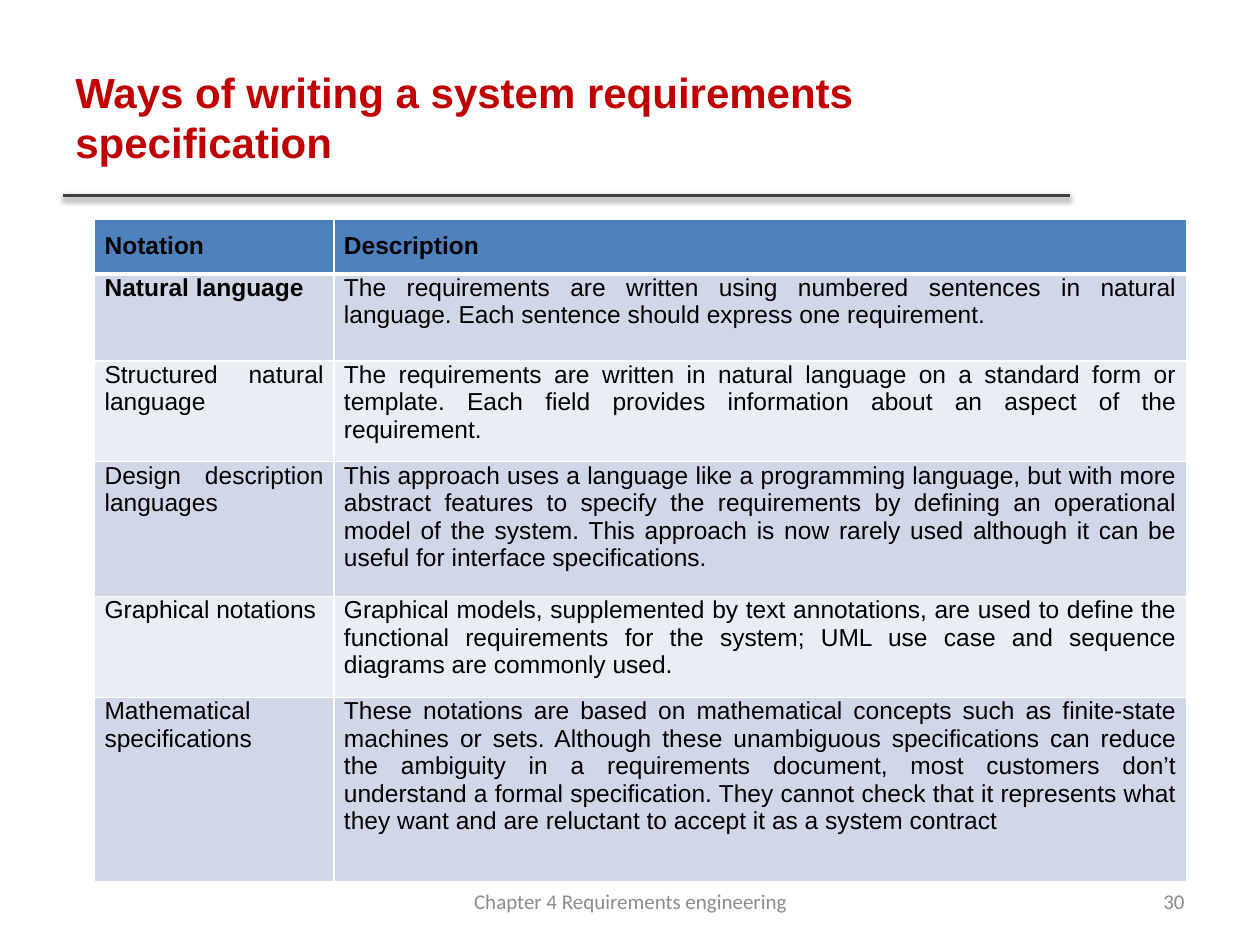
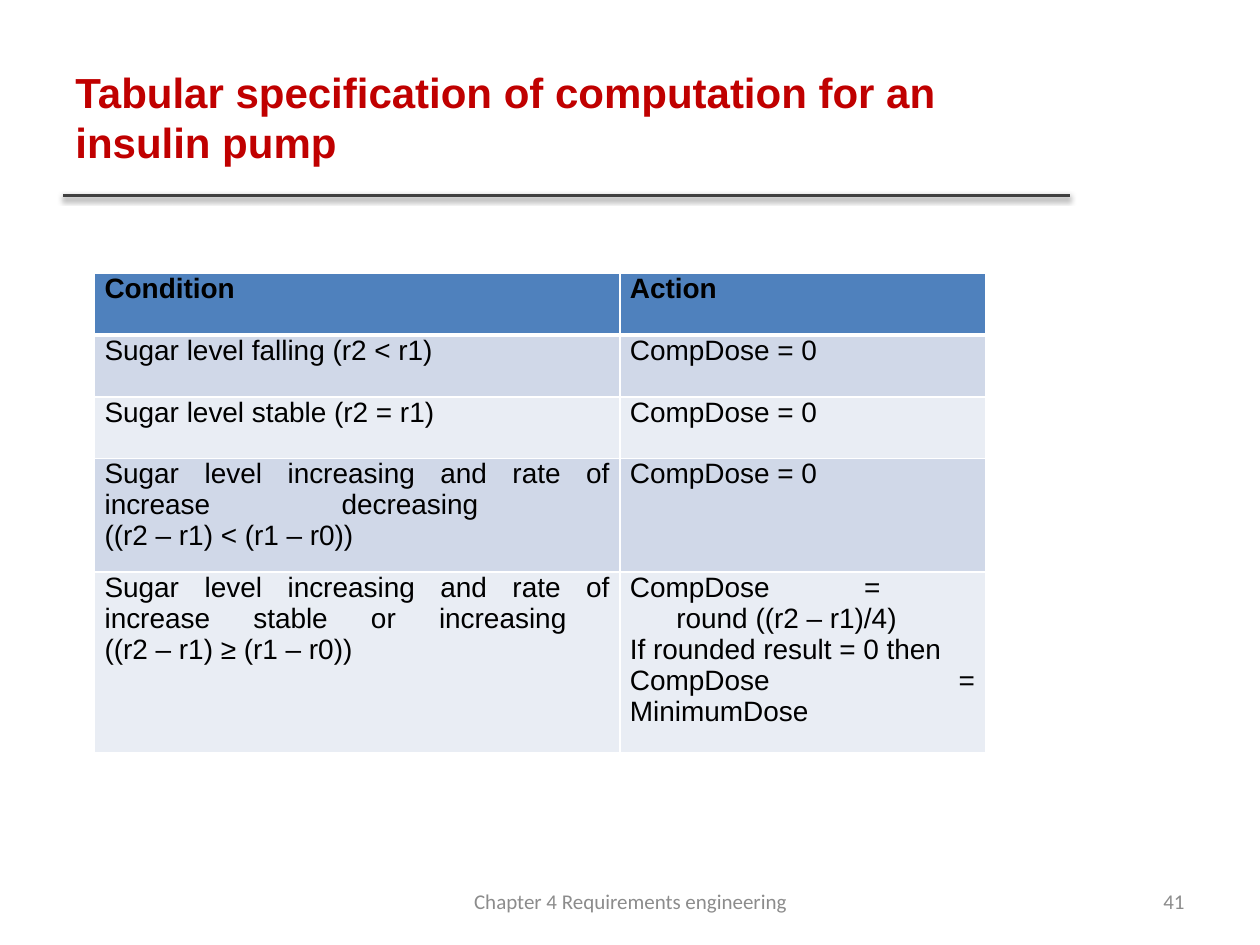
from lxml import etree
from pptx import Presentation, util as u
from pptx.dml.color import RGBColor
from pptx.enum import shapes, text
from pptx.oxml import parse_xml
from pptx.oxml.ns import nsdecls, qn

COLORS = {"title": "C00000", "rule": "404040", "footer": "8C8C8C", "text": "000000",
          "header": "4F81BD", "odd": "D0D8E8", "even": "E9EDF4", "border": "FFFFFF"}
ALIGN = text.PP_ALIGN
FOOTER = "Chapter 4 Requirements engineering"

# The slide is a grid of 100 columns and 75 rows of square units.
WIDTH, HEIGHT = u.Inches(10), u.Inches(7.5)
UNIT = WIDTH // 100
TITLE_BOX = (5, 3, 79.8, 12.5)
NUMBER_BOX = (71.7, 69.5, 23.3, 4)
FOOTER_BOX = (34.2, 69.5, 31.7, 4)
RULE_ENDS = (5, 15.5, 84.9, 15.5)
TABLE_LEFT = 7.5

TITLE_FORMAT = {"name": "Arial", "size": u.Pt(24), "bold": True}
FOOTER_FORMAT = {"name": "Calibri", "size": u.Pt(12), "bold": False}

# In cell text, \v breaks a line and \n starts a paragraph.
SLIDES = [
    {
        "title": "Ways of writing a system requirements specification",
        "number": "30",
        "top": 17.4,
        "columns": (19, 67.7),
        "rows": (4, 6.9, 7.6, 10.7, 7.6, 14.6),
        "size": 14,
        "header_inset": 1,
        "bold_cells": [(1, 0)],
        "cells": [
            ("Notation", "Description"),
            ("Natural language",
             "The requirements are written using numbered sentences in natural language. "
             "Each sentence should express one requirement."),
            ("Structured natural language ",
             "The requirements are written in natural language on a standard form or template. "
             "Each field provides information about an aspect of the requirement."),
            ("Design description languages",
             "This approach uses a language like a programming language, but with more abstract "
             "features to specify the requirements by defining an operational model of the system. "
             "This approach is now rarely used although it can be useful for interface "
             "specifications."),
            ("Graphical notations",
             "Graphical models, supplemented by text annotations, are used to define the "
             "functional requirements for the system; UML use case and sequence diagrams are "
             "commonly used."),
            ("Mathematical specifications",
             "These notations are based on mathematical concepts such as finite-state machines "
             "or sets. Although these unambiguous specifications can reduce the ambiguity in a "
             "requirements document, most customers don’t understand a formal specification. "
             "They cannot check that it represents what they want and are reluctant to accept "
             "it as a system contract"),
        ],
    },
    {
        "title": "Tabular specification of computation for an insulin pump",
        "number": "41",
        "top": 21.7,
        "columns": (41.7, 29),
        "rows": (4.9, 4.9, 4.9, 8.4, 13.3),
        "size": 16,
        "header_inset": 0,
        "bold_cells": [],
        "cells": [
            ("Condition", "Action"),
            ("Sugar level falling (r2 < r1)", "CompDose = 0"),
            ("Sugar level stable (r2 = r1)", "CompDose = 0"),
            ("Sugar level increasing and rate of increase decreasing \v((r2 – r1) < (r1 – r0))",
             "CompDose = 0"),
            ("Sugar level increasing and rate of increase stable or increasing \v"
             "((r2 – r1) ≥ (r1 – r0))",
             "CompDose = \v      round ((r2 – r1)/4)\n"
             "If rounded result = 0 then \nCompDose = MinimumDose"),
        ],
    },
]


def write(frame, words, formats, color, alignment):
    frame.text = words
    frame.word_wrap = True
    for paragraph in frame.paragraphs:
        paragraph.alignment = alignment
        for name, value in formats.items():
            setattr(paragraph.font, name, value)
        paragraph.font.color.rgb = RGBColor.from_string(COLORS[color])
        for run in paragraph.runs:
            for name, value in formats.items():
                setattr(run.font, name, value)
            run.font.color.rgb = RGBColor.from_string(COLORS[color])


def add_label(slide, box, words, formats, color, alignment):
    """Add a text box, placed in grid units and anchored in the middle."""
    label = slide.shapes.add_textbox(*(round(value * UNIT) for value in box))
    label.text_frame.vertical_anchor = text.MSO_ANCHOR.MIDDLE
    write(label.text_frame, words, formats, color, alignment)


presentation = Presentation()
presentation.slide_width, presentation.slide_height = WIDTH, HEIGHT

for content in SLIDES:
    slide = presentation.slides.add_slide(presentation.slide_layouts[6])

    rule = slide.shapes.add_connector(shapes.MSO_CONNECTOR.STRAIGHT,
                                      *(round(value * UNIT) for value in RULE_ENDS))
    rule.line.width = u.Pt(2)
    rule.line.color.rgb = RGBColor.from_string(COLORS["rule"])
    rule.element.spPr.append(parse_xml(
        f'<a:effectLst {nsdecls("a")}><a:outerShdw blurRad="{u.Pt(3.1)}" dist="{u.Pt(1.6)}" '
        'dir="5400000" rotWithShape="0"><a:srgbClr val="000000"><a:alpha val="38000"/>'
        '</a:srgbClr></a:outerShdw></a:effectLst>'))

    add_label(slide, TITLE_BOX, content["title"], TITLE_FORMAT, "title", ALIGN.LEFT)

    columns, rows = content["columns"], content["rows"]
    box = (TABLE_LEFT, content["top"], sum(columns), sum(rows))
    table = slide.shapes.add_table(len(rows), len(columns),
                                   *(round(value * UNIT) for value in box)).table
    for column, width in zip(table.columns, columns):
        column.width = round(width * UNIT)

    for row_index, height in enumerate(rows):
        table.rows[row_index].height = round(height * UNIT)
        is_header = row_index == 0
        fill = "header" if is_header else ("even", "odd")[row_index % 2]
        edges = {"L": 1, "R": 1, "T": 3 if row_index == 1 else 1, "B": 3 if is_header else 1}

        for column_index, words in enumerate(content["cells"][row_index]):
            cell = table.cell(row_index, column_index)
            margins = {"margin_left": 0.8, "margin_right": 0.8, "margin_bottom": 1,
                       "margin_top": content["header_inset"] if is_header else 0}
            for name, value in margins.items():
                setattr(cell, name, round(value * UNIT))
            bold = is_header or (row_index, column_index) in content["bold_cells"]
            formats = {"name": "Arial", "size": u.Pt(content["size"]), "bold": bold}
            write(cell.text_frame, words, formats, "text", ALIGN.JUSTIFY)

            cell.fill.solid()
            cell.fill.fore_color.rgb = RGBColor.from_string(COLORS[fill])
            properties = cell._tc.get_or_add_tcPr()
            for position, (edge, points) in enumerate(edges.items()):
                border = etree.Element(qn(f"a:ln{edge}"), w=str(u.Pt(points)))
                solid = etree.SubElement(border, qn("a:solidFill"))
                etree.SubElement(solid, qn("a:srgbClr"), val=COLORS["border"])
                properties.insert(position, border)

    add_label(slide, NUMBER_BOX, content["number"], FOOTER_FORMAT, "footer", ALIGN.RIGHT)
    add_label(slide, FOOTER_BOX, FOOTER, FOOTER_FORMAT, "footer", ALIGN.CENTER)

presentation.save("out.pptx")
